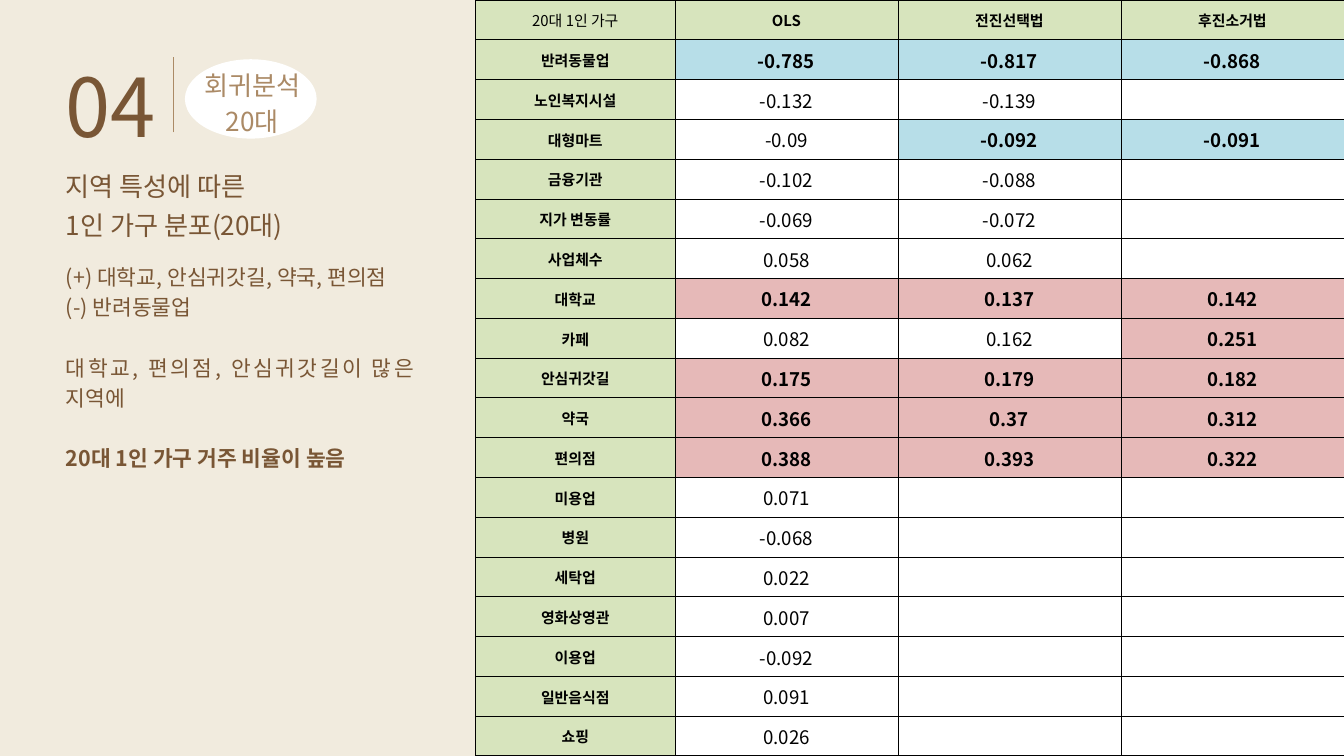
from lxml.etree import SubElement
from pptx import Presentation
from pptx.dml.color import RGBColor
from pptx.enum.shapes import MSO_CONNECTOR, MSO_SHAPE
from pptx.enum.text import MSO_ANCHOR, MSO_AUTO_SIZE, PP_ALIGN
from pptx.oxml.ns import qn
from pptx.util import Cm, Pt

FONT = "Noto Sans CJK KR"
BROWN, TAN, CREAM = "795635", "AB8A66", "F1EBDE"
BLACK, WHITE = "000000", "FFFFFF"
GREEN, BLUE, RED = "D7E4BD", "B7DEE8", "E6B9B8"

# Content: each paragraph is (text, bold, space before in points)
SECTION_NUMBER = [("04", False, 0)]
SECTION_LABEL = [("회귀분석", False, 0), ("20대", False, 0)]
TITLE = [("지역 특성에 따른", False, 0), ("1인 가구 분포(20대)", False, 0)]
FINDINGS = [
    ("(+) 대학교, 안심귀갓길, 약국, 편의점", False, 0),
    ("(-) 반려동물업", False, 0),
    ("대학교, 편의점, 안심귀갓길이 많은 지역에", False, 32.3),
    ("20대 1인 가구 거주 비율이 높음", True, 32.3),
]
HEADER = ["20대 1인 가구", "OLS", "전진선택법", "후진소거법"]
# Variable, coefficients, index of the first highlighted model (3 = none)
COEFFICIENTS = [
    ("반려동물업", ["-0.785", "-0.817", "-0.868"], 0),
    ("노인복지시설", ["-0.132", "-0.139", ""], 3),
    ("대형마트", ["-0.09", "-0.092", "-0.091"], 1),
    ("금융기관", ["-0.102", "-0.088", ""], 3),
    ("지가 변동률", ["-0.069", "-0.072", ""], 3),
    ("사업체수", ["0.058", "0.062", ""], 3),
    ("대학교", ["0.142", "0.137", "0.142"], 0),
    ("카페", ["0.082", "0.162", "0.251"], 2),
    ("안심귀갓길", ["0.175", "0.179", "0.182"], 0),
    ("약국", ["0.366", "0.37", "0.312"], 0),
    ("편의점", ["0.388", "0.393", "0.322"], 0),
    ("미용업", ["0.071", "", ""], 3),
    ("병원", ["-0.068", "", ""], 3),
    ("세탁업", ["0.022", "", ""], 3),
    ("영화상영관", ["0.007", "", ""], 3),
    ("이용업", ["-0.092", "", ""], 3),
    ("일반음식점", ["0.091", "", ""], 3),
    ("쇼핑", ["0.026", "", ""], 3),
]
SLIDE_WIDTH, SLIDE_HEIGHT = 50.8, 28.58
TABLE_LEFT = 17.98
COLUMN_WIDTHS = [7.53, 8.43, 8.43, 8.43]


def paint(color_format, color):
    color_format.rgb = RGBColor.from_string(color)


def fill_solid(fill, color):
    fill.solid()
    paint(fill.fore_color, color)


def add_run(paragraph, text, size, color, bold=False):
    run = paragraph.add_run()
    run.text = text
    run.font.size = Pt(size)
    run.font.bold = bold
    paint(run.font.color, color)
    run.font.name = FONT
    SubElement(run.font._element, qn("a:ea"), typeface=FONT)


def write_text(shape, box, paragraphs, size, spacing, color, align=PP_ALIGN.LEFT):
    shape.left, shape.top, shape.width, shape.height = map(Cm, box)
    frame = shape.text_frame
    frame.word_wrap = True
    frame.auto_size = MSO_AUTO_SIZE.NONE
    frame.vertical_anchor = MSO_ANCHOR.TOP
    frame.margin_left = frame.margin_right = frame.margin_top = frame.margin_bottom = 0
    for index, (text, bold, space_before) in enumerate(paragraphs):
        paragraph = frame.add_paragraph() if index else frame.paragraphs[0]
        paragraph.alignment = align
        paragraph.line_spacing = Pt(spacing)
        paragraph.space_before = Pt(space_before)
        add_run(paragraph, text, size, color, bold)


def add_text(slide, box, *style):
    write_text(slide.shapes.add_textbox(*map(Cm, box)), box, *style)


def format_cell(cell, text, size, fill, bold):
    cell.margin_left = cell.margin_right = cell.margin_top = Cm(0.03)
    cell.margin_bottom = 0
    cell.vertical_anchor = MSO_ANCHOR.MIDDLE
    properties = cell._tc.get_or_add_tcPr()
    for side in ("lnL", "lnR", "lnT", "lnB"):
        border = SubElement(properties, qn(f"a:{side}"), w=str(Pt(1)))
        border_fill = SubElement(border, qn("a:solidFill"))
        SubElement(border_fill, qn("a:srgbClr"), val=BLACK)
    fill_solid(cell.fill, fill)
    if text:
        paragraph = cell.text_frame.paragraphs[0]
        paragraph.alignment = PP_ALIGN.CENTER
        add_run(paragraph, text, size, BLACK, bold)


def add_coefficient_table(slide):
    row_count = len(COEFFICIENTS) + 1
    table = slide.shapes.add_table(
        row_count, len(HEADER), Cm(TABLE_LEFT), 0,
        Cm(sum(COLUMN_WIDTHS)), Cm(SLIDE_HEIGHT)).table
    table.first_row = table.horz_banding = False
    for column, width in zip(table.columns, COLUMN_WIDTHS):
        column.width = Cm(width)
    for row in table.rows:
        row.height = Cm(SLIDE_HEIGHT / row_count)
    for column, text in enumerate(HEADER):
        format_cell(table.cell(0, column), text, 16, GREEN, column > 0)
    for row, (variable, values, first_marked) in enumerate(COEFFICIENTS, 1):
        format_cell(table.cell(row, 0), variable, 16, GREEN, True)
        for model, value in enumerate(values):
            marked = model >= first_marked
            tone = BLUE if value.startswith("-") else RED
            format_cell(table.cell(row, model + 1), value, 20,
                        tone if marked else WHITE, marked)


def main():
    presentation = Presentation()
    presentation.slide_width = Cm(SLIDE_WIDTH)
    presentation.slide_height = Cm(SLIDE_HEIGHT)
    slide = presentation.slides.add_slide(presentation.slide_layouts[5])
    fill_solid(slide.background.fill, CREAM)

    # Regression results
    add_coefficient_table(slide)

    # Title and findings
    write_text(slide.shapes.title, (2.49, 6.17, 10.21, 2.92), TITLE, 28, 41.5, BROWN)
    add_text(slide, (2.49, 9.83, 13.16, 7.98), FINDINGS, 23, 32.3, BROWN,
             PP_ALIGN.JUSTIFY)

    # Section number and divider
    add_text(slide, (2.49, 1.5, 3.84, 4.01), SECTION_NUMBER, 87, 121.9, BROWN)
    divider = slide.shapes.add_connector(
        MSO_CONNECTOR.STRAIGHT, Cm(6.55), Cm(5), Cm(6.55), Cm(2.16))
    divider.line.width = Pt(1.5)
    paint(divider.line.color, TAN)
    SubElement(divider._element.spPr, qn("a:effectLst"))

    # Section label on its oval
    oval = slide.shapes.add_shape(
        MSO_SHAPE.OVAL, Cm(6.99), Cm(2.24), Cm(4.98), Cm(3))
    oval.shadow.inherit = False
    fill_solid(oval.fill, WHITE)
    oval.line.fill.background()
    add_text(slide, (7.49, 2.41, 4.09, 2.77), SECTION_LABEL, 28, 39.3, TAN,
             PP_ALIGN.CENTER)

    presentation.save("out.pptx")


if __name__ == "__main__":
    main()
